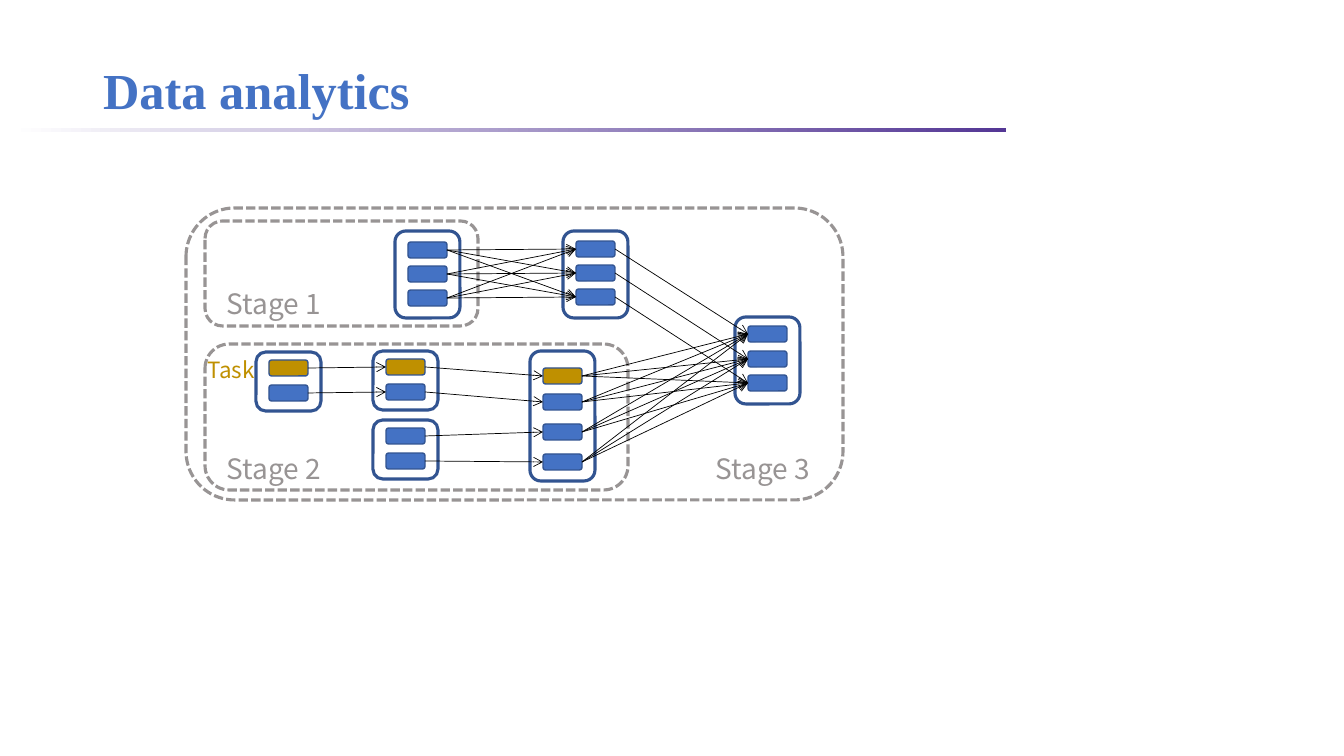
from itertools import product

from lxml.etree import SubElement
from pptx import Presentation
from pptx.dml.color import RGBColor
from pptx.enum.dml import MSO_LINE
from pptx.enum.shapes import MSO_CONNECTOR, MSO_SHAPE
from pptx.enum.text import MSO_ANCHOR, MSO_AUTO_SIZE, PP_ALIGN
from pptx.oxml.ns import qn
from pptx.util import Emu, Pt

WHITE = RGBColor(0xFF, 0xFF, 0xFF)
BLACK = RGBColor(0, 0, 0)
BLUE = RGBColor(0x44, 0x72, 0xC4)
NAVY = RGBColor(0x32, 0x54, 0x91)
GOLD = RGBColor(0xBF, 0x90, 0x00)
GRAY = RGBColor(0x98, 0x94, 0x94)
PURPLE = RGBColor(0x54, 0x37, 0x95)
TITLE_FONT = "Times New Roman"
LABEL_FONT = "Noto Sans CJK SC"
LEFT_SITE, RIGHT_SITE = 1, 3


def px(n):
    return Emu(round(n * 914400 / 100.8))


def box_px(*box):
    return [px(n) for n in box]


def set_text(sp, text, size, color, font=LABEL_FONT, bold=False,
             anchor=MSO_ANCHOR.TOP, spacing=1.0):
    tf = sp.text_frame
    tf.word_wrap = True
    tf.auto_size = MSO_AUTO_SIZE.NONE
    tf.vertical_anchor = anchor
    p = tf.paragraphs[0]
    p.alignment = PP_ALIGN.LEFT
    p.line_spacing = spacing
    r = p.add_run()
    r.text = text
    r.font.name = font
    r.font.size = Pt(size)
    r.font.bold = bold
    r.font.color.rgb = color


def add_label(s, text, x, y, w, h, size=20, color=GRAY):
    set_text(s.shapes.add_textbox(*box_px(x, y, w, h)), text, size, color)


def add_rounded(s, x, y, w, h, fill, line, width, dash=None):
    sp = s.shapes.add_shape(MSO_SHAPE.ROUNDED_RECTANGLE, *box_px(x, y, w, h))
    sp.shadow.inherit = False
    sp.fill.solid()
    sp.fill.fore_color.rgb = fill
    sp.line.color.rgb = line
    sp.line.width = Pt(width)
    if dash:
        sp.line.dash_style = dash
    return sp


def add_header(s, x, y, w, h):
    bar = s.shapes.add_shape(MSO_SHAPE.RECTANGLE, *box_px(x, y + h - 4, w, 4))
    bar.shadow.inherit = False
    bar.line.fill.background()
    bar.fill.gradient()
    bar.fill.gradient_angle = 0
    for stop, color in zip(bar.fill.gradient_stops, (WHITE, PURPLE)):
        stop.color.rgb = color
    title = s.shapes.title
    title.left, title.top, title.width, title.height = box_px(x + 82, y, 1159, 86)
    set_text(title, "Data analytics", 36, BLUE, font=TITLE_FONT, bold=True,
             anchor=MSO_ANCHOR.MIDDLE, spacing=1.2)


def add_stage(s, name, x, y, w, h, label_x, label_y):
    add_rounded(s, x, y, w, h, WHITE, GRAY, 2.25, MSO_LINE.SQUARE_DOT)
    add_label(s, name, x + label_x, y + label_y, 124, 44)


def add_dataset(s, x, y, h, task_tops, first=BLUE):
    add_rounded(s, x, y, 65, h, WHITE, NAVY, 2.25)
    return [add_rounded(s, x + 13, y + top, 39, 16, BLUE if i else first, NAVY, 1)
            for i, top in enumerate(task_tops)]


def add_arrows(s, pairs):
    for source, target in pairs:
        c = s.shapes.add_connector(MSO_CONNECTOR.STRAIGHT, 0, 0, 0, 0)
        c.begin_connect(source, RIGHT_SITE)
        c.end_connect(target, LEFT_SITE)
        c.line.color.rgb = BLACK
        c.line.width = Pt(0.5)
        SubElement(c.line._get_or_add_ln(), qn("a:tailEnd"), type="arrow")
        SubElement(c._element.spPr, qn("a:effectLst"))


def add_task_graph(s, x, y, w, h):
    add_stage(s, "Stage 3", x, y, w, h, 520, 239)
    add_stage(s, "Stage 1", x + 19, y + 13, 273, 105, 12, 61)
    add_stage(s, "Stage 2", x + 19, y + 136, 423, 146, 12, 103)

    grouped = add_dataset(s, x + 209, y + 23, 87, (11, 35, 59))
    shuffled = add_dataset(s, x + 377, y + 23, 87, (10, 34, 58))
    loaded = add_dataset(s, x + 70, y + 144, 59, (8, 33), GOLD)
    mapped = add_dataset(s, x + 187, y + 143, 59, (8, 33), GOLD)
    other = add_dataset(s, x + 187, y + 212, 59, (8, 33))
    union = add_dataset(s, x + 344, y + 143, 130, (17, 43, 73, 103), GOLD)
    joined = add_dataset(s, x + 549, y + 109, 87, (9, 34, 58))

    add_arrows(s, product(grouped, shuffled))
    add_arrows(s, zip(loaded, mapped))
    add_arrows(s, zip(mapped + other, union))
    add_arrows(s, zip(shuffled, joined))
    add_arrows(s, product(union, joined))
    add_label(s, "Task", x + 12, y + 143, 85, 37, 16, GOLD)


def main():
    prs = Presentation()
    prs.slide_width, prs.slide_height = px(1344), px(756)
    s = prs.slides.add_slide(prs.slide_layouts[5])
    add_header(s, 11, 40, 995, 92)
    add_task_graph(s, 186, 208, 657, 292)
    prs.save("out.pptx")


if __name__ == "__main__":
    main()
